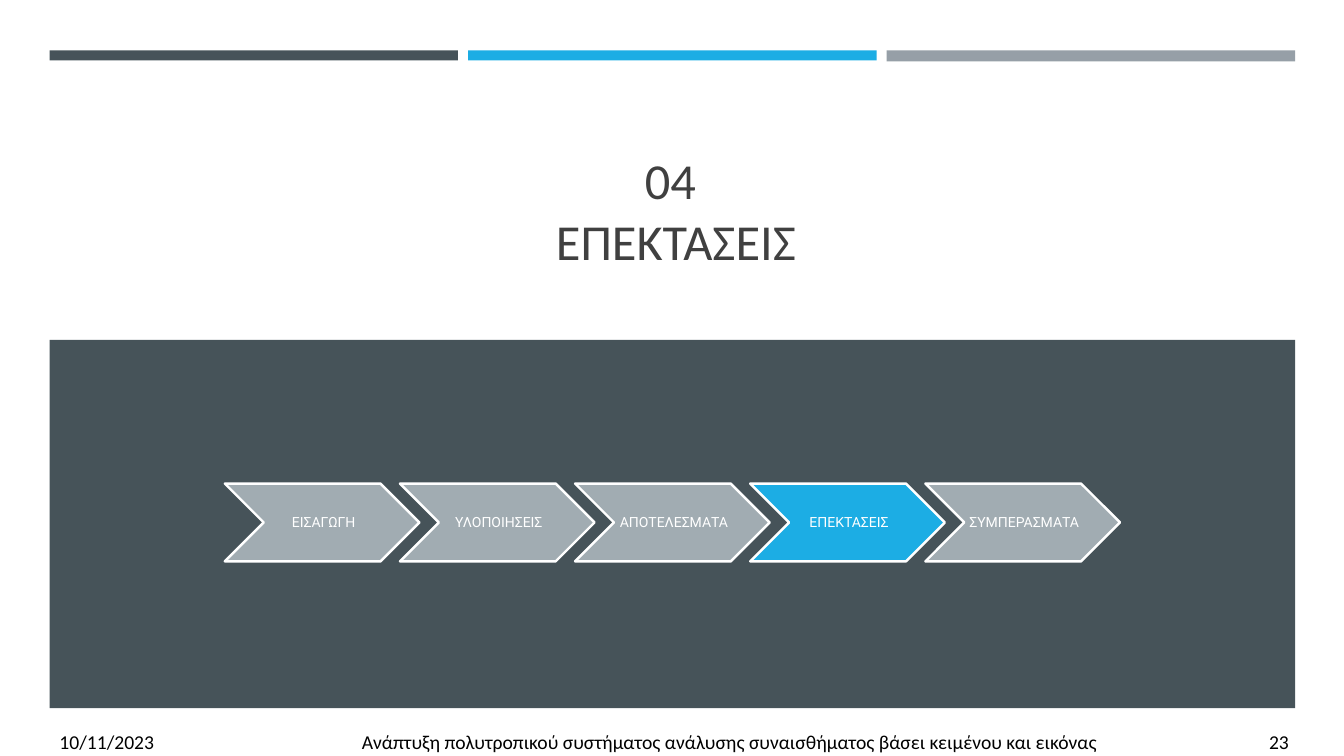
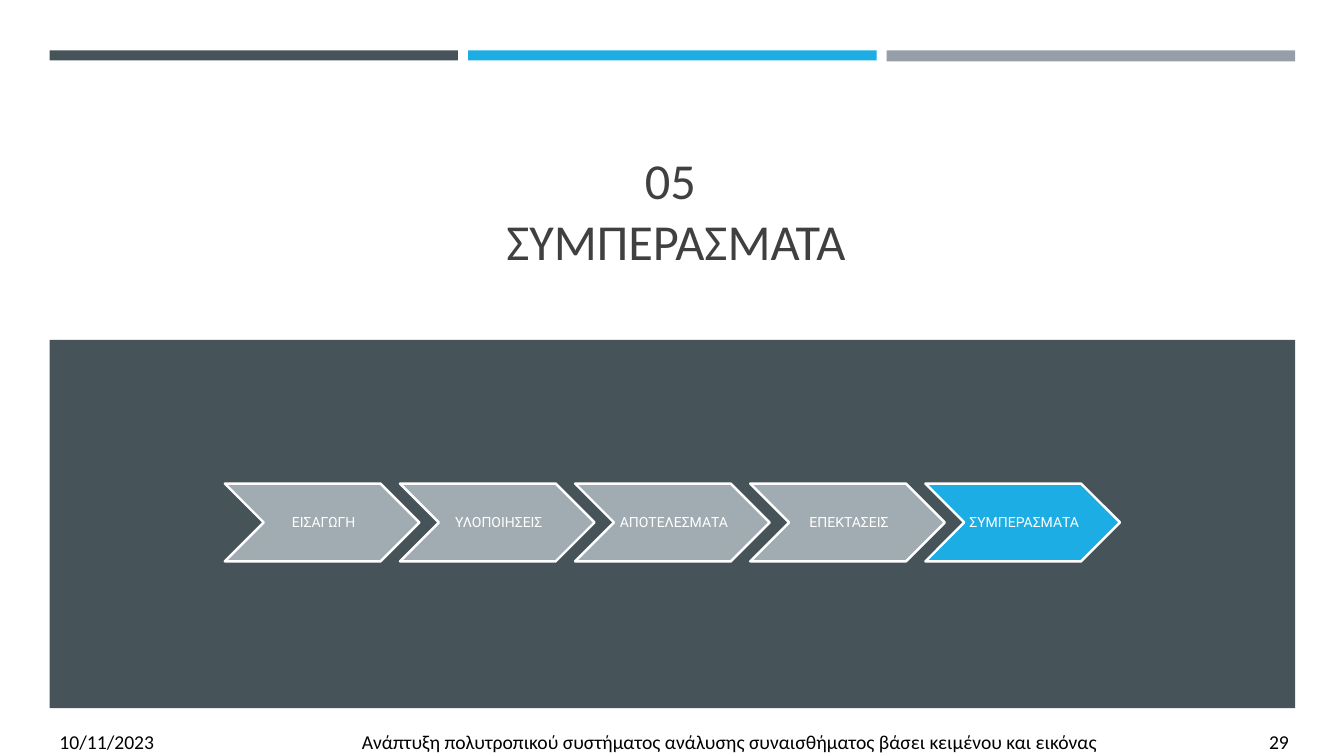
"""Build two section slides with a progress row of chevrons."""
from lxml.etree import SubElement
from pptx import Presentation
from pptx.dml.color import RGBColor
from pptx.enum.shapes import MSO_SHAPE
from pptx.enum.text import MSO_ANCHOR, MSO_AUTO_SIZE, PP_ALIGN
from pptx.oxml.ns import qn
from pptx.util import Pt

HUES = {
    "slate": "465359",
    "blue": "1CADE4",
    "gray": "969FA7",
    "mist": "A1ACB2",
    "white": "FFFFFF",
    "ink": "404040",
    "black": "000000",
}
STEPS = ["ΕΙΣΑΓΩΓΗ", "ΥΛΟΠΟΙΗΣΕΙΣ", "ΑΠΟΤΕΛΕΣΜΑΤΑ", "ΕΠΕΚΤΑΣΕΙΣ", "ΣΥΜΠΕΡΑΣΜΑΤΑ"]
DATE = "10/11/2023"
TOPIC = "Ανάπτυξη πολυτροπικού συστήματος ανάλυσης συναισθήματος βάσει κειμένου και εικόνας"
PAGES = [(4, 23), (5, 29)]


def hue(name):
    return RGBColor.from_string(HUES[name])


def write(shape, text, size=14, font="Calibri", color="black", align=PP_ALIGN.LEFT,
          anchor=MSO_ANCHOR.TOP, wrap=True, pads=(7.2, 3.6, 7.2, 3.6), lead=1.0, tabs=()):
    frame = shape.text_frame
    frame.text = text
    frame.word_wrap = wrap
    frame.auto_size = MSO_AUTO_SIZE.NONE
    frame.vertical_anchor = anchor
    (frame.margin_left, frame.margin_top,
     frame.margin_right, frame.margin_bottom) = map(Pt, pads)
    for para in frame.paragraphs:
        para.alignment = align
        para.line_spacing = lead
        if tabs:
            stops = SubElement(para._p.get_or_add_pPr(), qn("a:tabLst"))
            for stop in tabs:
                SubElement(stops, qn("a:tab"), pos=str(Pt(stop)), algn="l")
        for run in para.runs:
            run.font.size = Pt(size)
            run.font.name = font
            run.font.color.rgb = hue(color)


class Deck:
    left, width, gap = 35.4, 889.8, 7.2

    def __init__(self):
        self.show = Presentation()
        self.show.slide_width, self.show.slide_height = Pt(960), Pt(540)
        self.slide = None

    def page(self):
        self.slide = self.show.slides.add_slide(self.show.slide_layouts[5])
        wide = (self.width - 2 * self.gap) / 3
        for i, (color, high) in enumerate([("slate", 7.2), ("blue", 7.2), ("gray", 7.9)]):
            self.block(self.left + i * (wide + self.gap), 36, wide, high, color)
        self.block(self.left, 242.8, self.width, 263, "slate")

    def block(self, x, y, w, h, color, kind=MSO_SHAPE.RECTANGLE, edge=None):
        shape = self.slide.shapes.add_shape(kind, Pt(x), Pt(y), Pt(w), Pt(h))
        shape.shadow.inherit = False
        shape.fill.solid()
        shape.fill.fore_color.rgb = hue(color)
        if edge:
            shape.line.color.rgb = hue(edge)
            shape.line.width = Pt(1.75)
        else:
            shape.line.fill.background()
        return shape

    def title(self, text):
        head = self.slide.shapes.title
        head.left, head.top, head.width, head.height = map(Pt, (46, 80.8, 865.6, 116))
        write(head, text, size=36, color="ink", align=PP_ALIGN.CENTER,
              anchor=MSO_ANCHOR.BOTTOM)

    def steps(self, live):
        for i, name in enumerate(STEPS):
            color = "blue" if i == live else "mist"
            step = self.block(160.6 + i * 125.1, 345.4, 139, 55.6, color,
                              MSO_SHAPE.CHEVRON, "white")
            write(step, name, size=10, font="Roboto", color="white",
                  align=PP_ALIGN.CENTER, anchor=MSO_ANCHOR.MIDDLE, wrap=False,
                  pads=(2.9, 0.7, 0.7, 0.7), lead=0.9)

    def footer(self, page):
        box = self.slide.shapes.add_textbox(Pt(self.left), Pt(517.7), Pt(894), Pt(22))
        write(box, f"{DATE}\t{TOPIC}\t{page}", tabs=(216, 864))


def main():
    deck = Deck()
    for part, page in PAGES:
        deck.page()
        deck.title(f"{part:02}\n {STEPS[part - 1]}")
        deck.steps(part - 1)
        deck.footer(page)
    deck.show.save("out.pptx")


if __name__ == "__main__":
    main()
